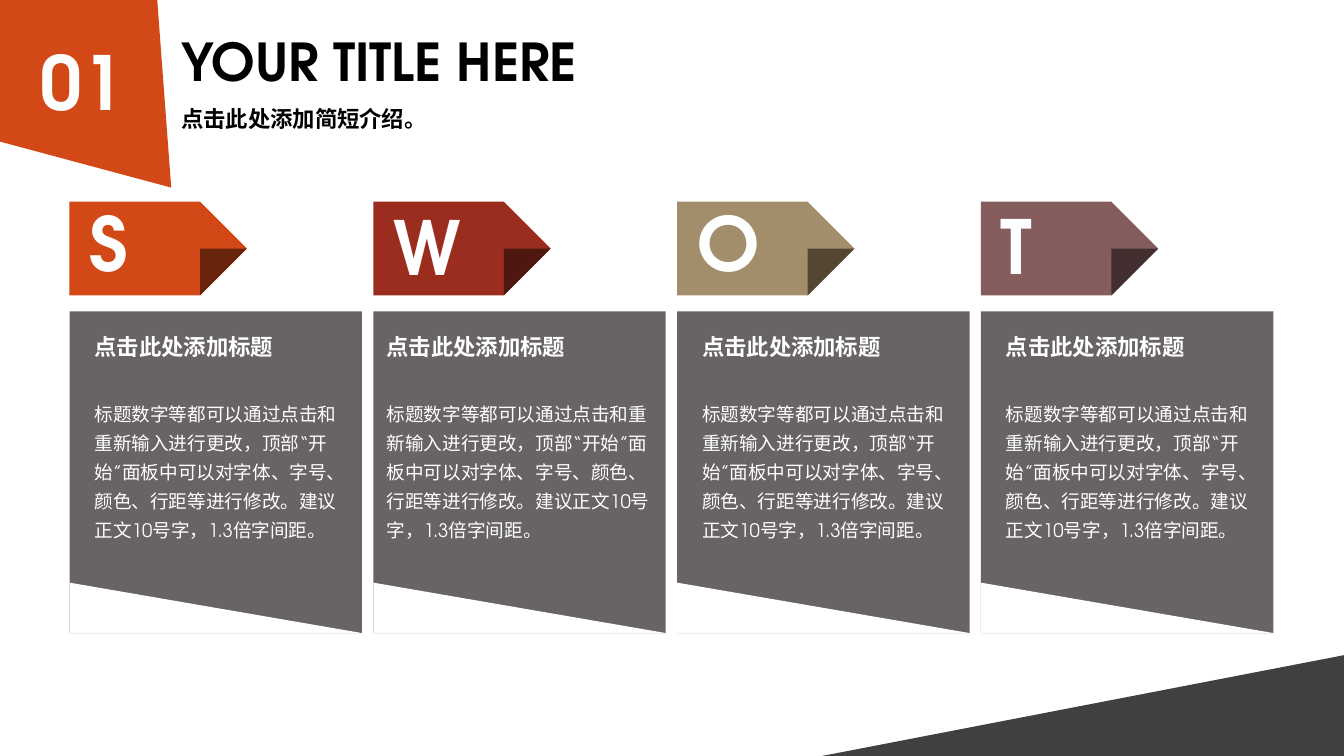
from dataclasses import dataclass

from pptx import Presentation
from pptx.dml.color import RGBColor
from pptx.enum.lang import MSO_LANGUAGE_ID
from pptx.enum.shapes import MSO_SHAPE
from pptx.enum.text import MSO_ANCHOR, PP_ALIGN
from pptx.oxml.ns import qn
from pptx.shapes.autoshape import Shape
from pptx.slide import Slide
from pptx.text.text import TextFrame
from pptx.util import Pt
from lxml import etree

RECT = MSO_SHAPE.RECTANGLE
WEDGE = MSO_SHAPE.RIGHT_TRIANGLE
ARROW = MSO_SHAPE.PENTAGON
TOP, MIDDLE = MSO_ANCHOR.TOP, MSO_ANCHOR.MIDDLE
LEFT, CENTER = PP_ALIGN.LEFT, PP_ALIGN.CENTER
CHINESE = MSO_LANGUAGE_ID.SIMPLIFIED_CHINESE

FACE = "TeX Gyre Adventor"
COLORS = {
    "white": "FFFFFF", "black": "000000", "card": "696464", "floor": "404040",
    "orange": "D34817", "orange_fold": "69240C",
    "red": "9B2D1F", "red_fold": "4E1710",
    "tan": "A28E6A", "tan_fold": "534733",
    "mauve": "855D5D", "mauve_fold": "422E2E",
}
HEADING = "点击此处添加标题"
BODY = ("标题数字等都可以通过点击和重新输入进行更改，顶部“开始”面板中可以对字体、字号、"
        "颜色、行距等进行修改。建议正文10号字，1.3倍字间距。")

WIDTH, HEIGHT = 960.5, 540
START, PITCH = 49.7, 217.1
CARD_W, CARD_TOP, CARD_H, CUT_H = 209, 222.5, 229.7, 36
FLAG_W, FLAG_TOP, FLAG_H, FOLD = 126.7, 144, 67, 33.4


@dataclass(frozen=True)
class Box:
    x: float
    y: float
    w: float
    h: float

    def lengths(self) -> tuple[Pt, Pt, Pt, Pt]:
        return Pt(self.x), Pt(self.y), Pt(self.w), Pt(self.h)


@dataclass(frozen=True)
class Topic:
    letter: str
    color: str
    rise: float  # top of the letter box
    inset: float = 10.8  # left of the card text inside the card


@dataclass(frozen=True)
class Label:
    text: str
    box: Box
    size: float
    color: str
    align: PP_ALIGN = LEFT


TOPICS = [
    Topic("S", "orange", 136.8),
    Topic("W", "red", 139.7, 2.4),
    Topic("O", "tan", 136.8),
    Topic("T", "mauve", 139),
]
LABELS = [
    Label("01", Box(7.9, 2.2, 102.2, 110.2), 53.3, "white", CENTER),
    Label("YOUR TITLE HERE", Box(122.4, 13.7, 332.6, 59), 37.3, "black"),
    Label("点击此处添加简短介绍。", Box(122.4, 73.4, 332.6, 22.3), 16, "black"),
]


def paint(shape: Shape, color: str) -> None:
    shape.shadow.inherit = False
    shape.fill.solid()
    shape.fill.fore_color.rgb = RGBColor.from_string(COLORS[color])
    shape.line.fill.background()


def add_block(slide: Slide, kind: MSO_SHAPE, box: Box, color: str) -> Shape:
    shape = slide.shapes.add_shape(kind, *box.lengths())
    paint(shape, color)
    return shape


def add_frame(slide: Slide, box: Box, anchor: MSO_ANCHOR = TOP) -> TextFrame:
    frame = slide.shapes.add_textbox(*box.lengths()).text_frame
    frame.word_wrap = True
    frame.vertical_anchor = anchor
    return frame


def add_text(frame: TextFrame, text: str, size: float, color: str = "white",
             bold: bool = True, align: PP_ALIGN = LEFT,
             leading: float = 1.0, gap: float = 0) -> None:
    """Fill the first paragraph, or append one when it already has text."""
    para = frame.add_paragraph() if frame.text else frame.paragraphs[0]
    para.alignment = align
    para.line_spacing = leading
    para.space_before = Pt(gap)
    run = para.add_run()
    run.text = text
    font = run.font
    font.size = Pt(size)
    font.bold = bold
    font.color.rgb = RGBColor.from_string(COLORS[color])
    font.name = FACE
    font.language_id = CHINESE
    east = etree.SubElement(run._r.get_or_add_rPr(), qn("a:ea"))
    east.set("typeface", FACE)


def add_header(slide: Slide) -> None:
    pen = slide.shapes.build_freeform(Pt(-4.3), Pt(-5))
    corners = [(112.3, -1.4), (122.4, 134), (-4.3, 100)]
    pen.add_line_segments([(Pt(x), Pt(y)) for x, y in corners], close=True)
    paint(pen.convert_to_shape(), "orange")

    floor = add_block(slide, WEDGE, Box(WIDTH - 373, HEIGHT - 72, 373, 72), "floor")
    floor._element.spPr.find(qn("a:xfrm")).set("flipH", "1")

    for label in LABELS:
        frame = add_frame(slide, label.box, MIDDLE)
        add_text(frame, label.text, label.size, label.color, align=label.align)


def add_card(slide: Slide, left: float, topic: Topic) -> None:
    add_block(slide, RECT, Box(left, CARD_TOP, CARD_W, CARD_H), "card")
    cut = Box(left, CARD_TOP + CARD_H - CUT_H, CARD_W, CUT_H)
    add_block(slide, WEDGE, cut, "white")
    inner = Box(left + topic.inset, 229, CARD_W - topic.inset, 162.7)
    frame = add_frame(slide, inner)
    add_text(frame, HEADING, 16, leading=1.3)
    add_text(frame, BODY, 13.3, bold=False, leading=1.3, gap=25.2)


def add_flag(slide: Slide, left: float, topic: Topic) -> None:
    add_block(slide, ARROW, Box(left, FLAG_TOP, FLAG_W, FLAG_H), topic.color)
    frame = add_frame(slide, Box(left + 7.3, topic.rise, 74.9, 72))
    add_text(frame, topic.letter, 53.3)
    corner = Box(left + FLAG_W - FOLD, FLAG_TOP + FLAG_H - FOLD, FOLD, FOLD)
    add_block(slide, WEDGE, corner, topic.color + "_fold").rotation = 90


def main() -> None:
    deck = Presentation()
    deck.slide_width, deck.slide_height = Pt(WIDTH), Pt(HEIGHT)
    slide = deck.slides.add_slide(deck.slide_layouts[6])
    add_header(slide)
    for draw in (add_card, add_flag):
        for index, topic in enumerate(TOPICS):
            draw(slide, START + index * PITCH, topic)
    deck.save("out.pptx")


if __name__ == "__main__":
    main()
